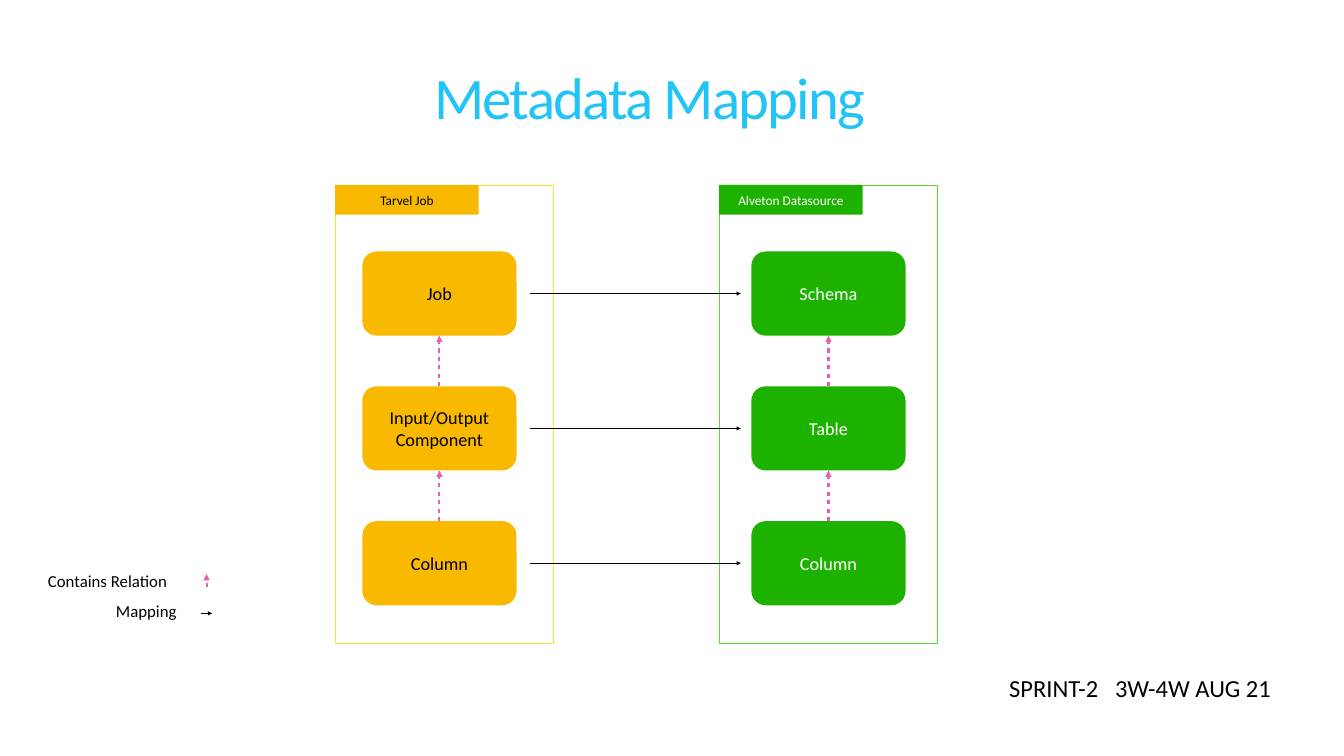
from dataclasses import dataclass

from lxml import etree
from pptx import Presentation
from pptx import util as u
from pptx.dml.color import RGBColor
from pptx.enum import shapes, text
from pptx.oxml import ns


@dataclass(frozen=True)
class Theme:
    font: str = "Calibri"
    black: str = "000000"
    white: str = "FFFFFF"
    title: str = "22C4F8"
    amber: str = "F9B900"
    amber_edge: str = "FAE132"
    green: str = "1DB100"
    green_edge: str = "61D834"
    pink: str = "EF5FA8"
    title_size: float = 84
    footer_size: float = 35
    box_size: float = 26
    legend_size: float = 24
    tag_size: float = 19


class SlideBuilder:
    def __init__(self, slide, theme):
        self.slide = slide
        self.theme = theme

    def format_frame(self, frame, size, color, align, anchor, wrap=True):
        frame.auto_size = text.MSO_AUTO_SIZE.NONE
        frame.word_wrap = wrap
        frame.vertical_anchor = anchor
        frame.margin_left = frame.margin_right = u.Inches(0.06)
        frame.margin_top = frame.margin_bottom = u.Inches(0.06)
        paragraph = frame.paragraphs[0]
        paragraph.alignment = align
        paragraph.font.name = self.theme.font
        paragraph.font.size = u.Pt(size)
        paragraph.font.color.rgb = RGBColor.from_string(color)
        return paragraph

    def title(self, words, left, top, width, height):
        shape = self.slide.shapes.title
        shape.left, shape.top = u.Inches(left), u.Inches(top)
        shape.width, shape.height = u.Inches(width), u.Inches(height)
        shape.text_frame.text = words
        paragraph = self.format_frame(
            shape.text_frame, self.theme.title_size, self.theme.title,
            text.PP_ALIGN.CENTER, text.MSO_ANCHOR.BOTTOM)
        paragraph.line_spacing = 0.8
        paragraph.runs[0].font._element.set("spc", "-250")

    def label(self, words, left, top, width, height, size,
              align=text.PP_ALIGN.LEFT, anchor=text.MSO_ANCHOR.MIDDLE, wrap=False):
        shape = self.slide.shapes.add_textbox(
            u.Inches(left), u.Inches(top), u.Inches(width), u.Inches(height))
        shape.text_frame.text = words
        return self.format_frame(shape.text_frame, size, self.theme.black, align, anchor, wrap)

    def footer(self, sprint, period):
        """Set both parts on one line, parted by a single widened space."""
        paragraph = self.label(sprint, 1.39, 13.3, 23.89, 0.76, self.theme.footer_size,
                               text.PP_ALIGN.RIGHT, text.MSO_ANCHOR.TOP, True)
        gap = paragraph.add_run()
        gap.text = " "
        gap.font._element.set("spc", "1580")
        paragraph.add_run().text = period

    def shape(self, preset, left, top, width, height, fill=None, edge=None):
        shape = self.slide.shapes.add_shape(
            preset, u.Inches(left), u.Inches(top), u.Inches(width), u.Inches(height))
        shape.shadow.inherit = False
        if fill:
            shape.fill.solid()
            shape.fill.fore_color.rgb = RGBColor.from_string(fill)
        else:
            shape.fill.background()
        if edge:
            shape.line.color.rgb = RGBColor.from_string(edge)
            shape.line.width = u.Pt(1)
        else:
            shape.line.fill.background()
        return shape

    def filled_box(self, words, preset, left, top, width, height, fill, color, size):
        shape = self.shape(preset, left, top, width, height, fill=fill)
        shape.text_frame.text = words
        self.format_frame(shape.text_frame, size, color,
                          text.PP_ALIGN.CENTER, text.MSO_ANCHOR.MIDDLE)
        return shape

    def arrow(self, x1, y1, x2, y2, color, width, dashed=False):
        connector = self.slide.shapes.add_connector(
            shapes.MSO_CONNECTOR.STRAIGHT,
            u.Inches(x1), u.Inches(y1), u.Inches(x2), u.Inches(y2))
        connector.line.color.rgb = RGBColor.from_string(color)
        connector.line.width = u.Pt(width)
        line = connector.line._get_or_add_ln()
        if dashed:
            dash = etree.SubElement(line, ns.qn("a:custDash"))
            etree.SubElement(dash, ns.qn("a:ds"), d="200000", sp="200000")
        etree.SubElement(line, ns.qn("a:tailEnd"), type="triangle")
        etree.SubElement(connector._element.spPr, ns.qn("a:effectLst"))
        return connector

    def mapping_arrow(self, x1, x2, y):
        self.arrow(x1, y, x2, y, self.theme.black, 2)

    def contains_arrow(self, x, y1, y2):
        return self.arrow(x, y1, x, y2, self.theme.pink, 3, dashed=True)

    def column(self, heading, names, left, box_left, fill, edge, color):
        """Draw one system: its boxes, outline, heading tag and contains arrows."""
        boxes = [
            self.filled_box(name, shapes.MSO_SHAPE.ROUNDED_RECTANGLE, box_left, top,
                            BOX_WIDTH, BOX_HEIGHT, fill, color, self.theme.box_size)
            for name, top in zip(names, ROW_TOPS)]
        for box in boxes:
            box.adjustments[0] = 0.17
        self.shape(shapes.MSO_SHAPE.RECTANGLE, left, 3.68, 4.33, 9.09, edge=edge)
        self.filled_box(heading, shapes.MSO_SHAPE.RECTANGLE, left, 3.67, 2.85, 0.59,
                        fill, color, self.theme.tag_size)
        center = box_left + BOX_WIDTH / 2
        for row in range(1, len(boxes)):
            arrow = self.contains_arrow(center, ROW_TOPS[row], ROW_TOPS[row - 1] + BOX_HEIGHT)
            arrow.begin_connect(boxes[row], 0)
            arrow.end_connect(boxes[row - 1], 2)


BOX_WIDTH, BOX_HEIGHT = 3.06, 1.67
ROW_TOPS = [4.99 + 2.675 * row for row in range(3)]


def main():
    presentation = Presentation()
    presentation.slide_width = u.Inches(26.67)
    presentation.slide_height = u.Inches(15)
    theme = Theme()
    slide = presentation.slides.add_slide(presentation.slide_layouts[5])
    builder = SlideBuilder(slide, theme)

    builder.title("Metadata Mapping", 0.95, 0.95, 23.89, 1.7)
    builder.footer("SPRINT-2", "3W-4W AUG 21")

    builder.column("Tarvel Job", ["Job", "Input/Output Component", "Column"],
                   6.65, 7.19, theme.amber, theme.amber_edge, theme.black)
    builder.column("Alveton Datasource", ["Schema", "Table", "Column"],
                   14.27, 14.91, theme.green, theme.green_edge, theme.white)
    for top in ROW_TOPS:
        builder.mapping_arrow(10.52, 14.7, top + BOX_HEIGHT / 2)

    builder.label("Contains Relation", 0.89, 11.25, 2.95, 0.54, theme.legend_size)
    builder.label("Mapping", 2.24, 11.85, 1.59, 0.54, theme.legend_size)
    builder.contains_arrow(4.1, 11.65, 11.39)
    builder.mapping_arrow(3.98, 4.21, 12.17)

    presentation.save("out.pptx")


if __name__ == "__main__":
    main()
